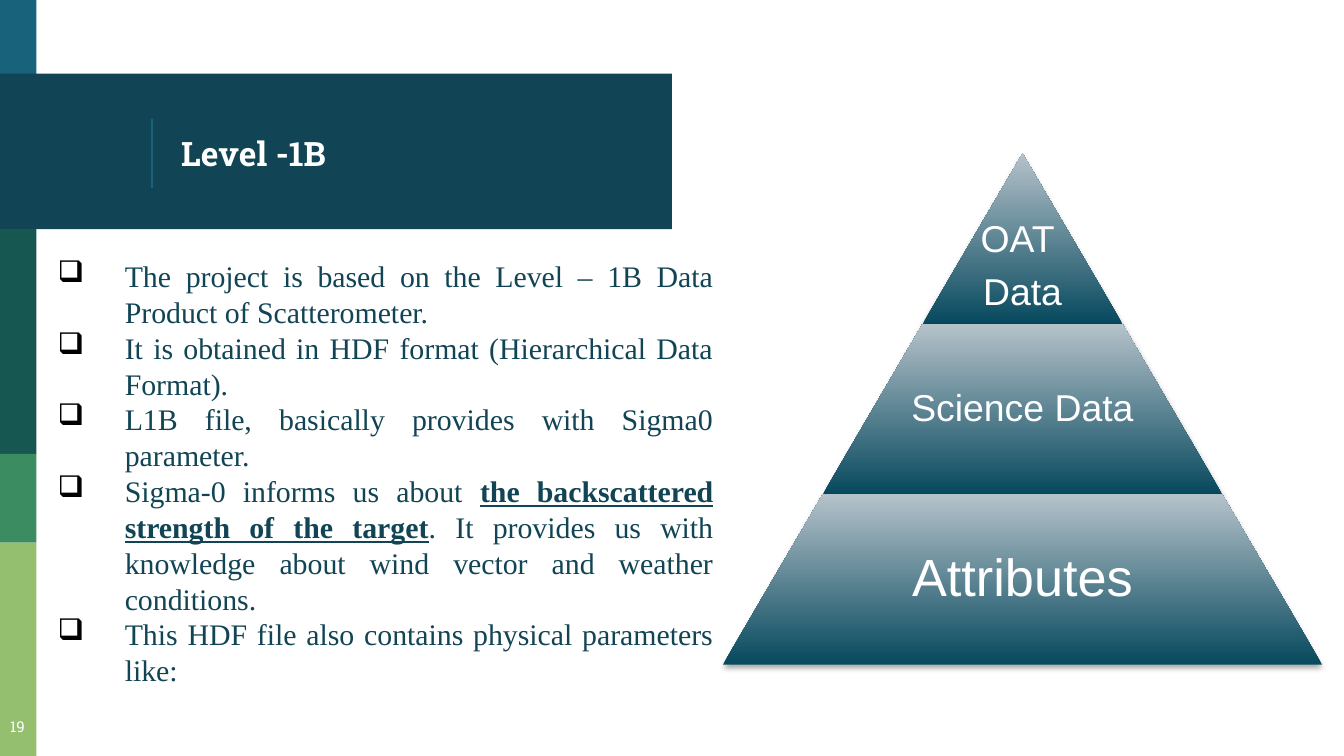
from dataclasses import dataclass

from lxml.etree import SubElement
from pptx import Presentation
from pptx.dml.color import RGBColor
from pptx.enum.shapes import MSO_CONNECTOR, MSO_SHAPE
from pptx.enum.text import MSO_ANCHOR, PP_ALIGN
from pptx.oxml.ns import qn
from pptx.util import Pt


@dataclass(frozen=True)
class Theme:
    white: str = "FFFFFF"
    black: str = "000000"
    navy: str = "114454"
    blue: str = "18637B"
    pine: str = "165751"
    green: str = "3B8D61"
    lime: str = "94BF6E"
    tier_dark: str = "07495E"
    tier_light: str = "B5C2CA"
    heading_font: str = "Roboto Slab"
    body_font: str = "Times New Roman"
    tier_font: str = "Arial"
    title_size: float = 18
    body_size: float = 16
    number_size: float = 8


theme = Theme()

TITLE = "Level -1B"
PAGE_NUMBER = "19"
# Each bullet is a list of (text, emphasized) runs.
BULLETS = [
    [("The project is based on the Level – 1B Data Product of Scatterometer. ", False)],
    [("It is obtained in HDF format (Hierarchical Data Format).", False)],
    [("L1B file, basically provides with Sigma0 parameter.", False)],
    [("Sigma-0 informs us about ", False),
     ("the backscattered strength of the target", True),
     (". It provides us with knowledge about wind vector and weather conditions. ", False)],
    [("This HDF file also contains physical parameters like: ", False)],
]
# Top to bottom: lines of text, type size.
TIERS = [(["OAT ", "Data"], 20), (["Science Data"], 20), (["Attributes"], 28)]

# Left, top, width, height, color
BANDS = [
    (0, 0, 19.5, 42, theme.blue),
    (0, 39.4, 360, 83.3, theme.navy),
    (0, 122.7, 19.5, 120.5, theme.pine),
    (0, 243.2, 19.5, 47.5, theme.green),
    (0, 290.7, 19.5, 114.3, theme.lime),
]

PYRAMID_CENTER, PYRAMID_TOP = 547.8, 82.2
TIER_HEIGHT, TIER_STEP = 91.3, 107


def color(value):
    return RGBColor.from_string(value)


def set_font(font, name, size, value, bold=False):
    font.name, font.size, font.bold = name, Pt(size), bold
    font.color.rgb = color(value)


def add_text_frame(slide, left, top, width, height, inset=None):
    frame = slide.shapes.add_textbox(Pt(left), Pt(top), Pt(width), Pt(height)).text_frame
    frame.word_wrap = True
    if inset is not None:
        frame.margin_left = frame.margin_right = Pt(inset)
        frame.margin_top = frame.margin_bottom = Pt(inset)
    return frame


def paragraphs_for(frame, items):
    """Yield one paragraph per item, using the frame's first one for the first."""
    for index, item in enumerate(items):
        yield (frame.add_paragraph() if index else frame.paragraphs[0]), item


def add_bands(slide):
    for left, top, width, height, fill in BANDS:
        band = slide.shapes.add_shape(
            MSO_SHAPE.RECTANGLE, Pt(left), Pt(top), Pt(width), Pt(height))
        band.shadow.inherit = False
        band.fill.solid()
        band.fill.fore_color.rgb = color(fill)
        band.line.fill.background()


def add_heading(slide):
    rule = slide.shapes.add_connector(
        MSO_CONNECTOR.STRAIGHT, Pt(81.4), Pt(64), Pt(81.4), Pt(100.8))
    rule.line.color.rgb = color(theme.blue)
    rule.line.width = Pt(0.75)
    SubElement(rule._element.spPr, qn("a:effectLst"))

    frame = add_text_frame(slide, 90, 41.8, 252.7, 80.6, 7.2)
    frame.vertical_anchor = MSO_ANCHOR.MIDDLE
    frame.text = TITLE
    set_font(frame.paragraphs[0].font, theme.heading_font, theme.title_size,
             theme.white, True)


def add_page_number(slide):
    frame = add_text_frame(slide, -4.3, 379.5, 27.4, 25.2, 7.2)
    frame.text = PAGE_NUMBER
    paragraph = frame.paragraphs[0]
    paragraph.alignment = PP_ALIGN.CENTER
    set_font(paragraph.font, theme.heading_font, theme.number_size, theme.white)


def add_bullet(paragraph):
    properties = paragraph._p.get_or_add_pPr()
    properties.set("marL", str(Pt(36)))
    properties.set("indent", str(Pt(-36)))
    bullet_color = SubElement(properties, qn("a:buClr"))
    SubElement(bullet_color, qn("a:srgbClr"), val=theme.black)
    SubElement(properties, qn("a:buChar"), char="❑")


def add_body(slide):
    frame = add_text_frame(slide, 23.8, 134.6, 365.5, 257)
    for paragraph, runs in paragraphs_for(frame, BULLETS):
        paragraph.alignment = PP_ALIGN.JUSTIFY
        paragraph.line_spacing = Pt(19.2)
        add_bullet(paragraph)
        for text, emphasized in runs:
            run = paragraph.add_run()
            run.text = text
            set_font(run.font, theme.body_font, theme.body_size, theme.navy, emphasized)
            run.font.underline = emphasized


def add_soft_shadow(shape):
    shape.shadow.inherit = False
    effects = shape._element.spPr.find(qn("a:effectLst"))
    shadow = SubElement(effects, qn("a:outerShdw"), blurRad=str(Pt(3.1)),
                        dist=str(Pt(1.8)), dir="5400000", rotWithShape="0")
    shadow_color = SubElement(shadow, qn("a:srgbClr"), val=theme.black)
    SubElement(shadow_color, qn("a:alpha"), val="35000")


def add_pyramid(slide):
    for level, (lines, size) in enumerate(TIERS, start=1):
        width = TIER_STEP * level
        tier = slide.shapes.add_shape(
            MSO_SHAPE.TRAPEZOID, Pt(PYRAMID_CENTER - width / 2),
            Pt(PYRAMID_TOP + TIER_HEIGHT * (level - 1)), Pt(width), Pt(TIER_HEIGHT))
        tier.adjustments[0] = TIER_STEP / 2 / TIER_HEIGHT
        tier.fill.gradient()
        tier.fill.gradient_angle = 90
        for stop, value in zip(tier.fill.gradient_stops, (theme.tier_dark, theme.tier_light)):
            stop.color.rgb = color(value)
        tier.line.fill.background()
        add_soft_shadow(tier)

        frame = tier.text_frame
        frame.word_wrap = False
        frame.vertical_anchor = MSO_ANCHOR.MIDDLE
        frame.margin_left = frame.margin_right = frame.margin_top = 0
        # A trapezoid's text area starts low; only the apex text should sit low.
        frame.margin_bottom = Pt(TIER_HEIGHT / 3 / level) if level > 1 else 0
        for paragraph, line in paragraphs_for(frame, lines):
            paragraph.text = line
            paragraph.alignment = PP_ALIGN.CENTER
            paragraph.line_spacing = 0.9
            paragraph.space_after = Pt(0.35 * size)
            set_font(paragraph.font, theme.tier_font, size, theme.white)


def main():
    presentation = Presentation()
    presentation.slide_width, presentation.slide_height = Pt(720), Pt(405)
    slide = presentation.slides.add_slide(presentation.slide_layouts[6])
    add_bands(slide)
    add_heading(slide)
    add_page_number(slide)
    add_body(slide)
    add_pyramid(slide)
    presentation.save("out.pptx")


if __name__ == "__main__":
    main()
